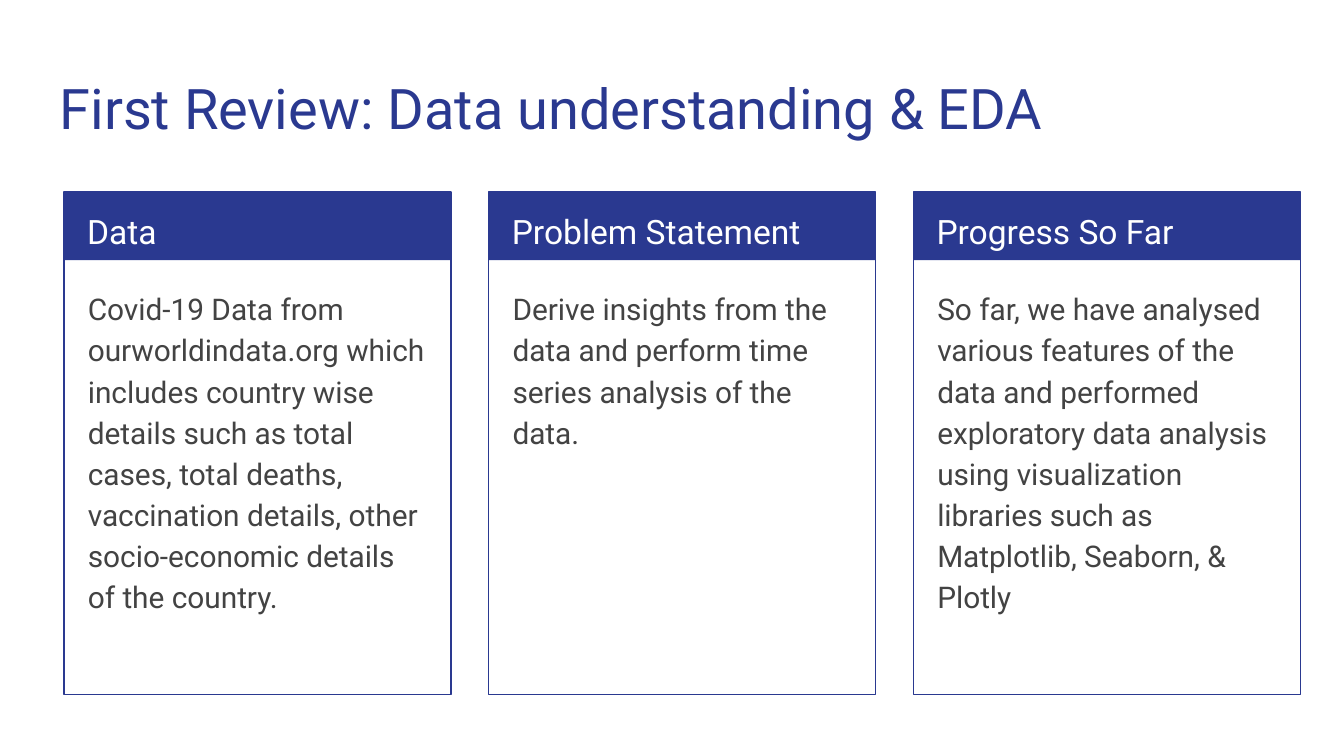
from dataclasses import dataclass

from pptx import Presentation
from pptx.dml.color import RGBColor
from pptx.enum.shapes import MSO_SHAPE
from pptx.enum.text import MSO_ANCHOR
from pptx.util import Pt

PX = 4572  # EMU per px, 200 px to the inch
RECT = MSO_SHAPE.RECTANGLE
TOP = MSO_ANCHOR.TOP

NAVY = RGBColor(0x2A, 0x39, 0x90)
GREY = RGBColor(0x43, 0x43, 0x43)
WHITE = RGBColor(0xFF, 0xFF, 0xFF)
FONT = "Roboto"

LEFT, STEP, PAD = 95, 632, 20
CARD_TOP, CARD_W, CARD_H, HEAD_H = 286, 576, 748, 101


@dataclass(frozen=True)
class Box:
    x: int
    y: int
    w: int
    h: int

    def emu(self) -> tuple[int, ...]:
        return tuple(n * PX for n in (self.x, self.y, self.w, self.h))


@dataclass(frozen=True)
class Style:
    size: int
    color: RGBColor
    lines: float = 1.0
    after: int = 0


@dataclass(frozen=True)
class Card:
    head: str
    body: str


TITLE = Style(30, NAVY)
HEAD = Style(18, WHITE, 1.15)
BODY = Style(16, GREY, 1.15, 16)

CARDS = [
    Card("Data",
         "Covid-19 Data from ourworldindata.org which includes country wise "
         "details such as total cases, total deaths, vaccination details, "
         "other socio-economic details of the country."),
    Card("Problem Statement",
         "Derive insights from the data and perform time series analysis "
         "of the data."),
    Card("Progress So Far",
         "So far, we have analysed various features of the data and performed "
         "exploratory data analysis using visualization libraries such as "
         "Matplotlib, Seaborn, & Plotly"),
]


def add_text(slide, box: Box, text: str, style: Style) -> None:
    frame = slide.shapes.add_textbox(*box.emu()).text_frame
    frame.word_wrap = True
    frame.vertical_anchor = TOP
    frame.margin_left = frame.margin_right = PAD * PX
    frame.margin_top = frame.margin_bottom = PAD * PX
    para = frame.paragraphs[0]
    para.text = text
    para.line_spacing = style.lines
    para.space_after = Pt(style.after)
    para.font.name = FONT
    para.font.size = Pt(style.size)
    para.font.color.rgb = style.color


def add_rect(slide, box: Box, solid: bool) -> None:
    """Draw a filled bar if solid, else an outlined frame."""
    rect = slide.shapes.add_shape(RECT, *box.emu())
    rect.shadow.inherit = False
    if solid:
        rect.fill.solid()
        rect.fill.fore_color.rgb = NAVY
        rect.line.fill.background()
    else:
        rect.fill.background()
        rect.line.color.rgb = NAVY
        rect.line.width = Pt(0.75)


def add_card(slide, x: int, card: Card) -> None:
    add_rect(slide, Box(x, CARD_TOP, CARD_W, HEAD_H), True)
    add_rect(slide, Box(x, CARD_TOP, CARD_W, CARD_H), False)
    add_text(slide, Box(x + 15, CARD_TOP - 1, 546, 100), card.head, HEAD)
    add_text(slide, Box(x + 16, 405, 542, 612), card.body, BODY)


def main() -> None:
    deck = Presentation()
    deck.slide_width, deck.slide_height = 2000 * PX, 1125 * PX
    slide = deck.slides.add_slide(deck.slide_layouts[6])
    add_text(slide, Box(69, 90, 1864, 132),
             "First Review: Data understanding & EDA", TITLE)
    for i, card in enumerate(CARDS):
        add_card(slide, LEFT + i * STEP, card)
    deck.save("out.pptx")


if __name__ == "__main__":
    main()
